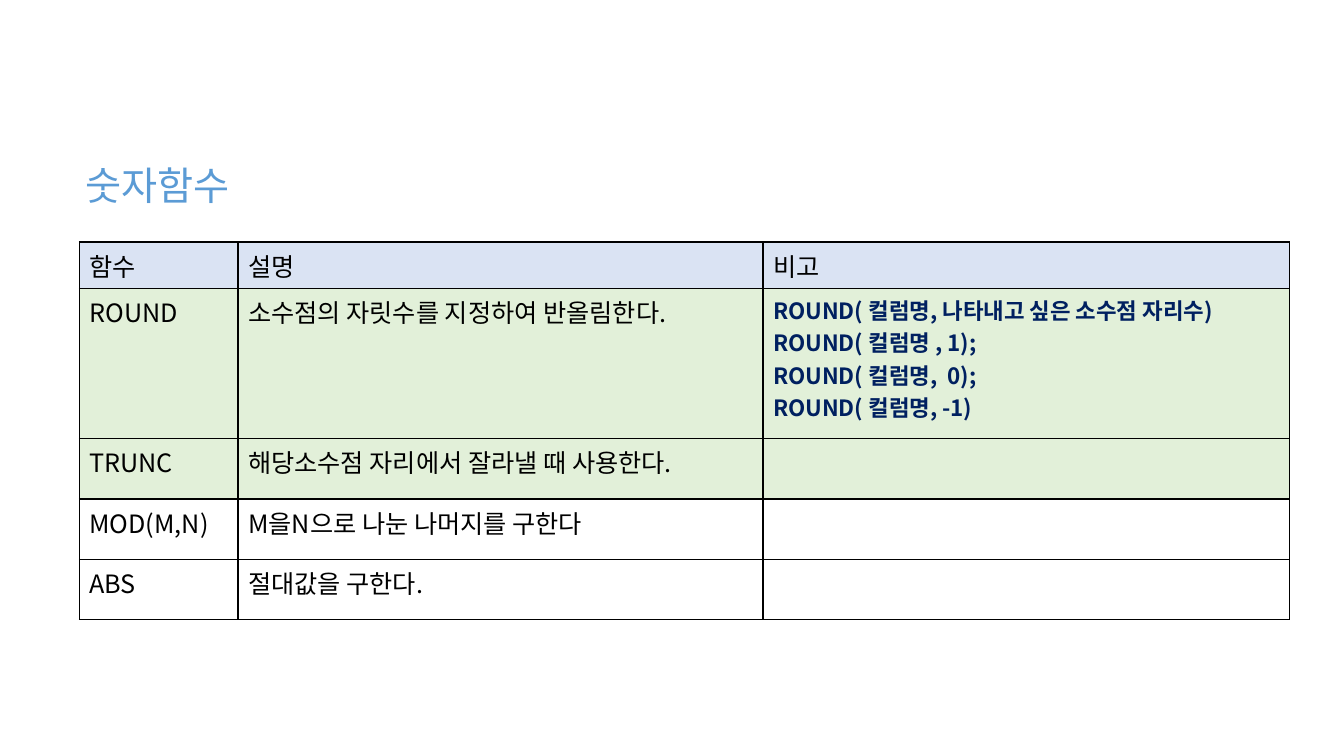
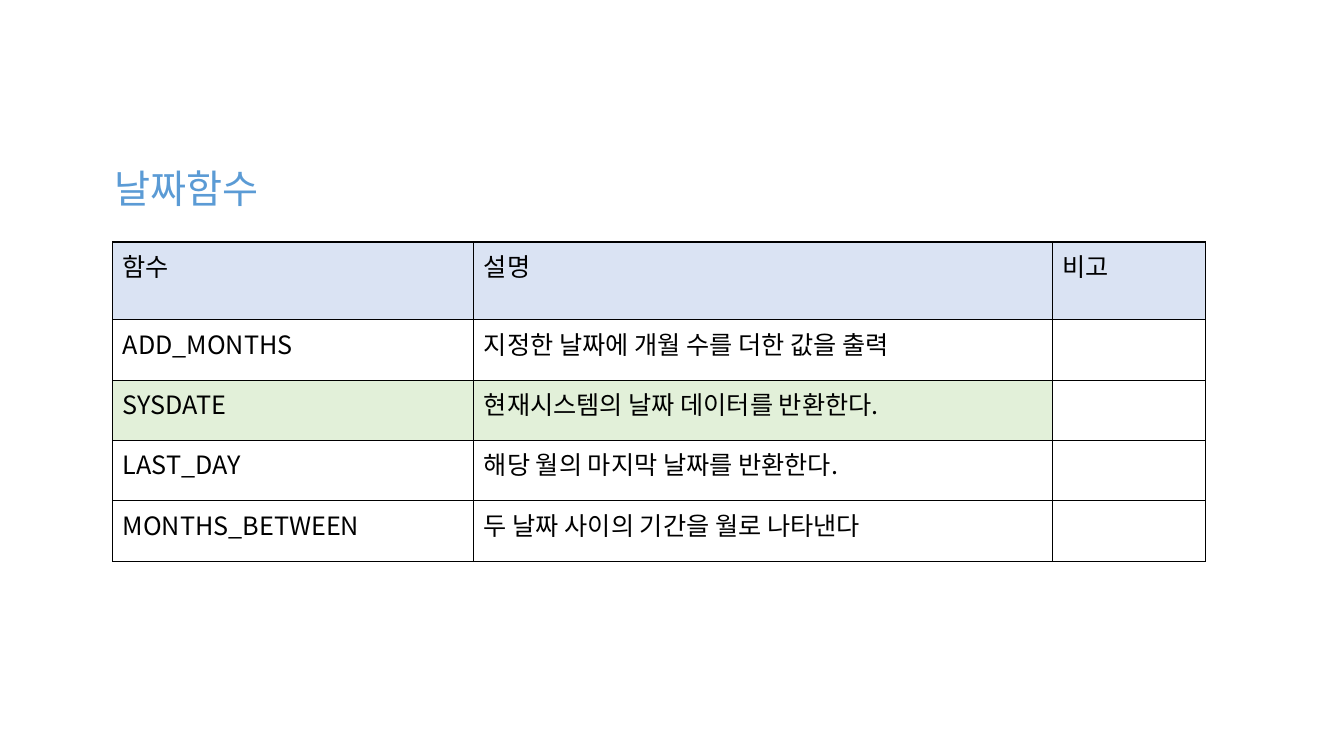
"""Build two slides with tables of SQL number and date functions."""
from lxml.etree import SubElement
from pptx import Presentation
from pptx.dml.color import RGBColor as RGB
from pptx.enum.text import MSO_AUTO_SIZE as Fit, PP_ALIGN as Align
from pptx.oxml.ns import qn
from pptx.util import Cm, Pt

FONT = "Noto Sans CJK KR"
BLACK, WHITE, BLUE, NAVY = "000000", "FFFFFF", "5B9BD5", "002060"
HEAD, GREEN = "DAE3F3", "E2F0D9"
TOP, ROW = 6.1, 1.52
TITLES = ["함수", "설명", "비고"]

ROUND = """ROUND( 컬럼명, 나타내고 싶은 소수점 자리수)
ROUND( 컬럼명 , 1);
ROUND( 컬럼명,  0);
ROUND( 컬럼명, -1)"""

NUMBERS = [
    ("ROUND", "소수점의 자릿수를 지정하여 반올림한다.", ROUND),
    ("TRUNC", "해당소수점 자리에서 잘라낼 때 사용한다.", ""),
    ("MOD(M,N)", "M을N으로 나눈 나머지를 구한다", ""),
    ("ABS", "절대값을 구한다.", ""),
]
DATES = [
    ("ADD_MONTHS", "지정한 날짜에 개월 수를 더한 값을 출력", ""),
    ("SYSDATE", "현재시스템의 날짜 데이터를 반환한다.", ""),
    ("LAST_DAY", "해당 월의 마지막 날짜를 반환한다.", ""),
    ("MONTHS_BETWEEN", "두 날짜 사이의 기간을 월로 나타낸다", ""),
]


def paint(target, color):
    """Give a fill a solid colour."""
    target.solid()
    target.fore_color.rgb = RGB.from_string(color)


def write(frame, text, size, color, bold=False):
    """Put text in a frame, one paragraph a line, in one style."""
    frame.text = text
    for para in frame.paragraphs:
        font = para.font
        font.name, font.size, font.bold = FONT, Pt(size), bold
        paint(font.fill, color)
        SubElement(para._p.pPr.defRPr, qn("a:ea"), typeface=FONT)


def border(cell):
    """Draw a thin black line on all four sides of a cell."""
    props = cell._tc.get_or_add_tcPr()
    for side in "LRTB":
        line = SubElement(props, qn(f"a:ln{side}"), w=str(Pt(1)))
        fill = SubElement(line, qn("a:solidFill"))
        SubElement(fill, qn("a:srgbClr"), val=BLACK)


def add_title(slide, text, left, top):
    """Add the blue heading above a table."""
    box = slide.shapes.add_textbox(Cm(left), Cm(top), Cm(4.5), Cm(1.45))
    frame = box.text_frame
    frame.word_wrap = False
    frame.auto_size = Fit.SHAPE_TO_FIT_TEXT
    write(frame, text, 28, BLUE)
    frame.paragraphs[0].alignment = Align.CENTER


def add_grid(slide, left, widths, heights, body, green):
    """Add a table with a header row and the given green cells."""
    rows = [TITLES, *body]
    shape = slide.shapes.add_table(
        len(rows), len(widths), Cm(left), Cm(TOP),
        Cm(sum(widths)), Cm(sum(heights)))
    table = shape.table
    table.first_row = table.horz_banding = False
    for col, width in zip(table.columns, widths):
        col.width = Cm(width)
    for row, height in zip(table.rows, heights):
        row.height = Cm(height)
    for r, texts in enumerate(rows):
        for c, text in enumerate(texts):
            cell = table.cell(r, c)
            border(cell)
            paint(cell.fill, HEAD if r == 0 else GREEN if (r, c) in green else WHITE)
            note = r > 0 and c == 2 and text != ""
            style = (16, NAVY, True) if note else (18, BLACK)
            write(cell.text_frame, text, *style)


def main():
    """Build both slides and save the deck."""
    deck = Presentation()
    deck.slide_width, deck.slide_height = Cm(33.87), Cm(19.05)
    blank = deck.slide_layouts[6]

    slide = deck.slides.add_slide(blank)
    green = {(r, c) for r in (1, 2) for c in range(3)}
    add_grid(slide, 2, [4, 13.23, 13.26], [0.86, 3.78] + [ROW] * 3, NUMBERS, green)
    add_title(slide, "숫자함수", 1.73, 3.94)

    slide = deck.slides.add_slide(blank)
    add_grid(slide, 2.84, [9.1, 14.58, 3.86], [1.96] + [ROW] * 4, DATES, {(2, 0), (2, 1)})
    add_title(slide, "날짜함수", 2.44, 4.01)

    deck.save("out.pptx")


if __name__ == "__main__":
    main()
